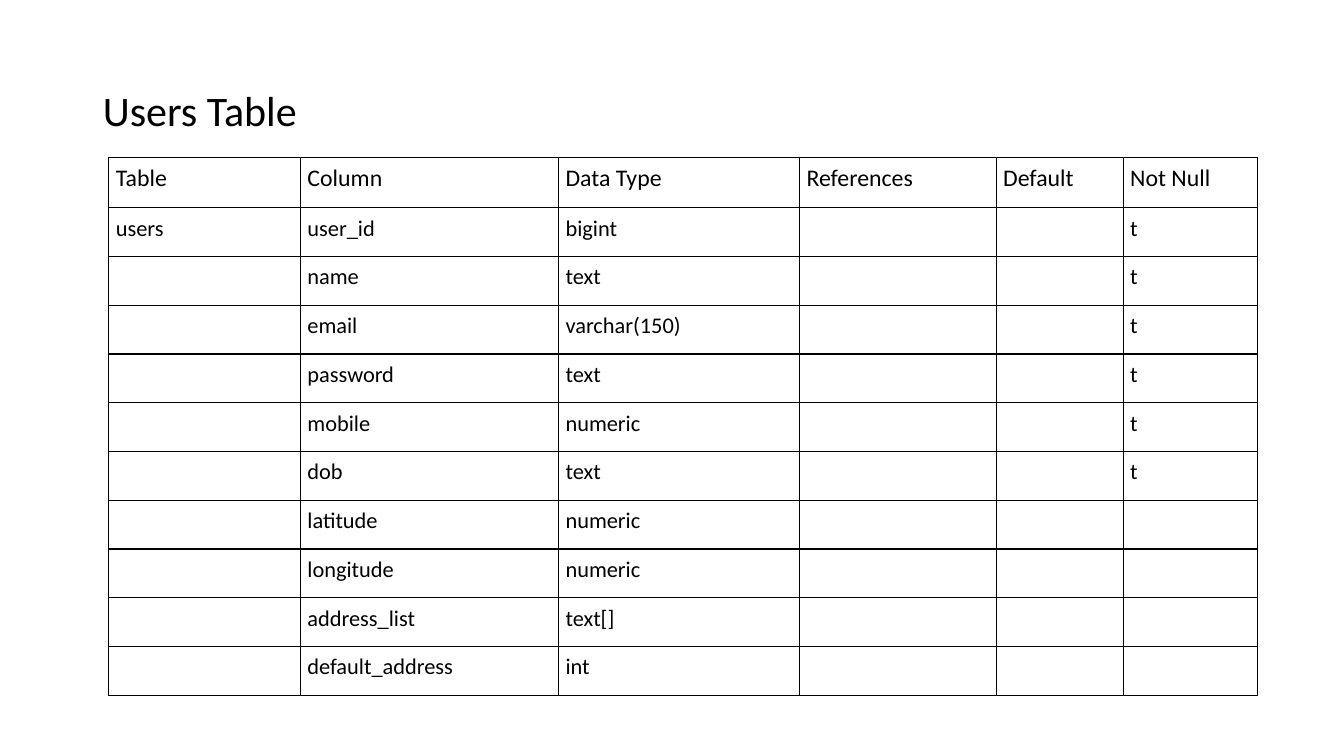
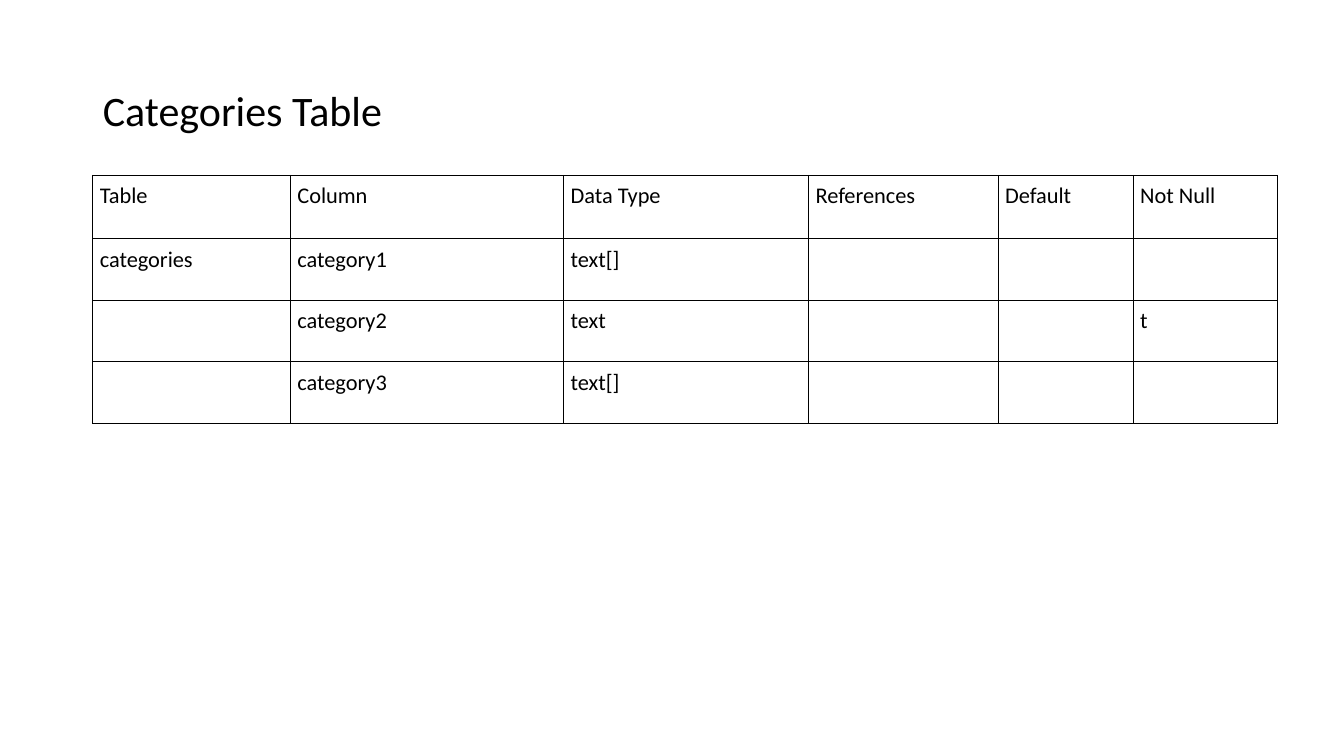
from dataclasses import dataclass

import pptx
import pptx.dml.color
import pptx.enum.text
import pptx.oxml
import pptx.oxml.ns
import pptx.util
from pptx.util import Inches

TITLE_ONLY = 5
HEADINGS = ("Table", "Column", "Data Type", "References", "Default", "Not Null")


@dataclass(frozen=True)
class Theme:
    font: str = "Calibri"
    ink: str = "000000"
    paper: str = "FFFFFF"
    title_size: float = 30
    heading_size: float = 17
    body_size: float = 16
    border_width: float = 1
    cell_margin: float = 0.07


def write(frame, text, *, font, size, color, line_spacing=None):
    paragraph = frame.paragraphs[0]
    paragraph.alignment = pptx.enum.text.PP_ALIGN.LEFT
    paragraph.line_spacing = line_spacing
    run = paragraph.add_run()
    run.text = text
    run.font.name = font
    run.font.size = pptx.util.Pt(size)
    run.font.color.rgb = pptx.dml.color.RGBColor.from_string(color)


def add_borders(cell, color, width):
    properties = cell._tc.get_or_add_tcPr()
    for side in "LRTB":
        properties.append(pptx.oxml.parse_xml(
            f'<a:ln{side} {pptx.oxml.ns.nsdecls("a")} w="{pptx.util.Pt(width)}">'
            f'<a:solidFill><a:srgbClr val="{color}"/></a:solidFill>'
            f'</a:ln{side}>'))


class SchemaDeck:
    """Builds slides that each describe one database table."""

    def __init__(self, theme):
        self.theme = theme
        self.presentation = pptx.Presentation()
        self.presentation.slide_width = Inches(13.33)
        self.presentation.slide_height = Inches(7.5)
        self.slide = None

    def add_slide(self, heading):
        layout = self.presentation.slide_layouts[TITLE_ONLY]
        self.slide = self.presentation.slides.add_slide(layout)
        background = self.slide.background.fill
        background.solid()
        background.fore_color.rgb = pptx.dml.color.RGBColor.from_string(self.theme.paper)
        title = self.slide.shapes.title
        title.left, title.top = Inches(0.92), Inches(0.4)
        title.width, title.height = Inches(11.5), Inches(1.45)
        frame = title.text_frame
        frame.auto_size = pptx.enum.text.MSO_AUTO_SIZE.NONE
        frame.vertical_anchor = pptx.enum.text.MSO_ANCHOR.MIDDLE
        write(frame, heading, font=self.theme.font, size=self.theme.title_size,
              color=self.theme.ink, line_spacing=0.9)

    def add_schema(self, name, fields, *, left, top, widths, heading_height,
                   row_height, heading_size):
        """Draw one row per field, given as (column, data type, not null)."""
        records = [HEADINGS]
        for index, (column, data_type, not_null) in enumerate(fields):
            records.append((name if index == 0 else "", column, data_type, "", "", not_null))
        heights = [heading_height] + [row_height] * len(fields)
        schema = self.slide.shapes.add_table(
            len(records), len(HEADINGS), Inches(left), Inches(top),
            Inches(sum(widths)), Inches(sum(heights))).table
        schema.first_row = schema.horz_banding = False
        for column, width in zip(schema.columns, widths):
            column.width = Inches(width)
        for index, (row, record, height) in enumerate(zip(schema.rows, records, heights)):
            row.height = Inches(height)
            size = heading_size if index == 0 else self.theme.body_size
            for cell, text in zip(row.cells, record):
                self.fill_cell(cell, text, size)

    def fill_cell(self, cell, text, size):
        margin = Inches(self.theme.cell_margin)
        cell.margin_left = cell.margin_right = margin
        cell.margin_top = cell.margin_bottom = margin
        add_borders(cell, self.theme.ink, self.theme.border_width)
        cell.fill.background()
        if text:
            write(cell.text_frame, text, font=self.theme.font, size=size,
                  color=self.theme.ink)


def main():
    theme = Theme()
    deck = SchemaDeck(theme)

    deck.add_slide("Users Table")
    user_fields = [
        ("user_id", "bigint", "t"),
        ("name", "text", "t"),
        ("email", "varchar(150)", "t"),
        ("password", "text", "t"),
        ("mobile", "numeric", "t"),
        ("dob", "text", "t"),
        ("latitude", "numeric", ""),
        ("longitude", "numeric", ""),
        ("address_list", "text[]", ""),
        ("default_address", "int", ""),
    ]
    deck.add_schema("users", user_fields, left=1.08, top=1.56,
                    widths=(1.9, 2.56, 2.39, 1.95, 1.26, 1.33),
                    heading_height=0.5, row_height=0.484,
                    heading_size=theme.heading_size)

    deck.add_slide("Categories Table")
    category_fields = [
        ("category1", "text[]", ""),
        ("category2", "text", "t"),
        ("category3", "text[]", ""),
    ]
    deck.add_schema("categories", category_fields, left=0.92, top=1.74,
                    widths=(1.96, 2.71, 2.43, 1.88, 1.34, 1.43),
                    heading_height=0.63, row_height=0.61,
                    heading_size=theme.body_size)

    deck.presentation.save("out.pptx")


if __name__ == "__main__":
    main()
